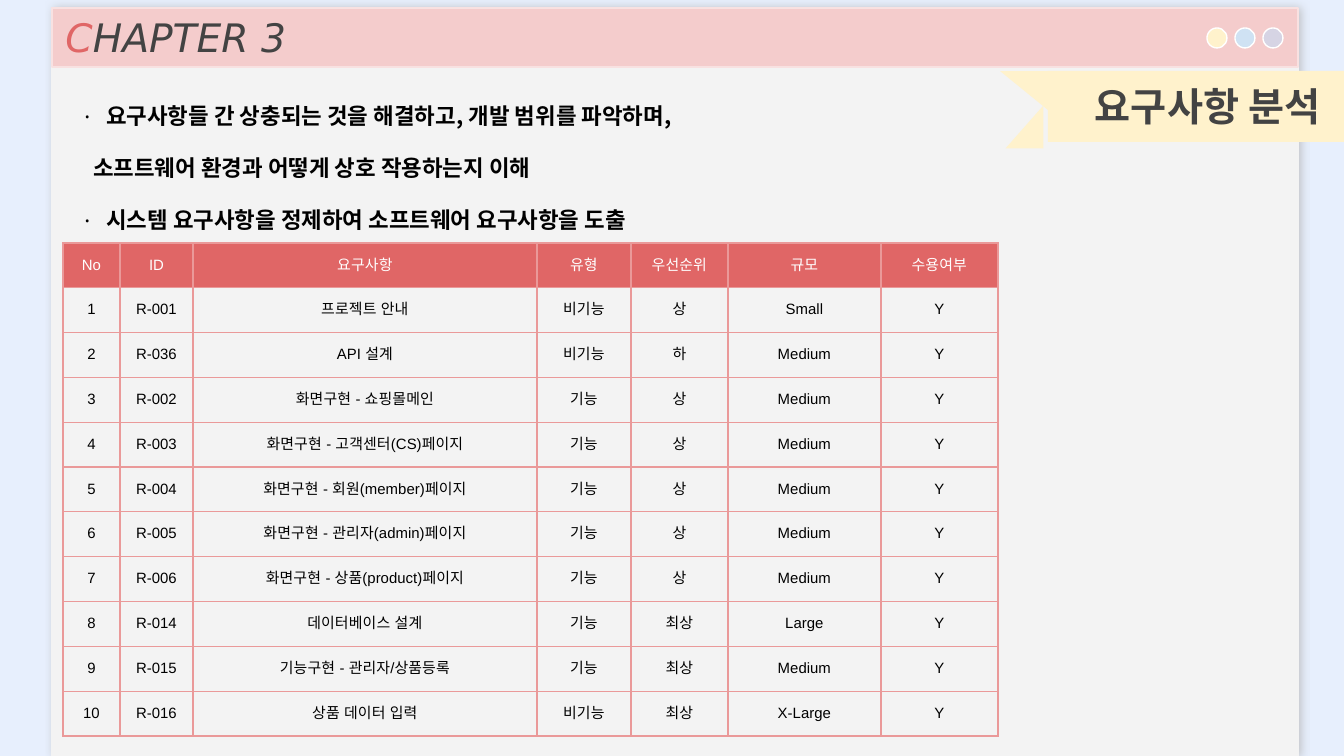
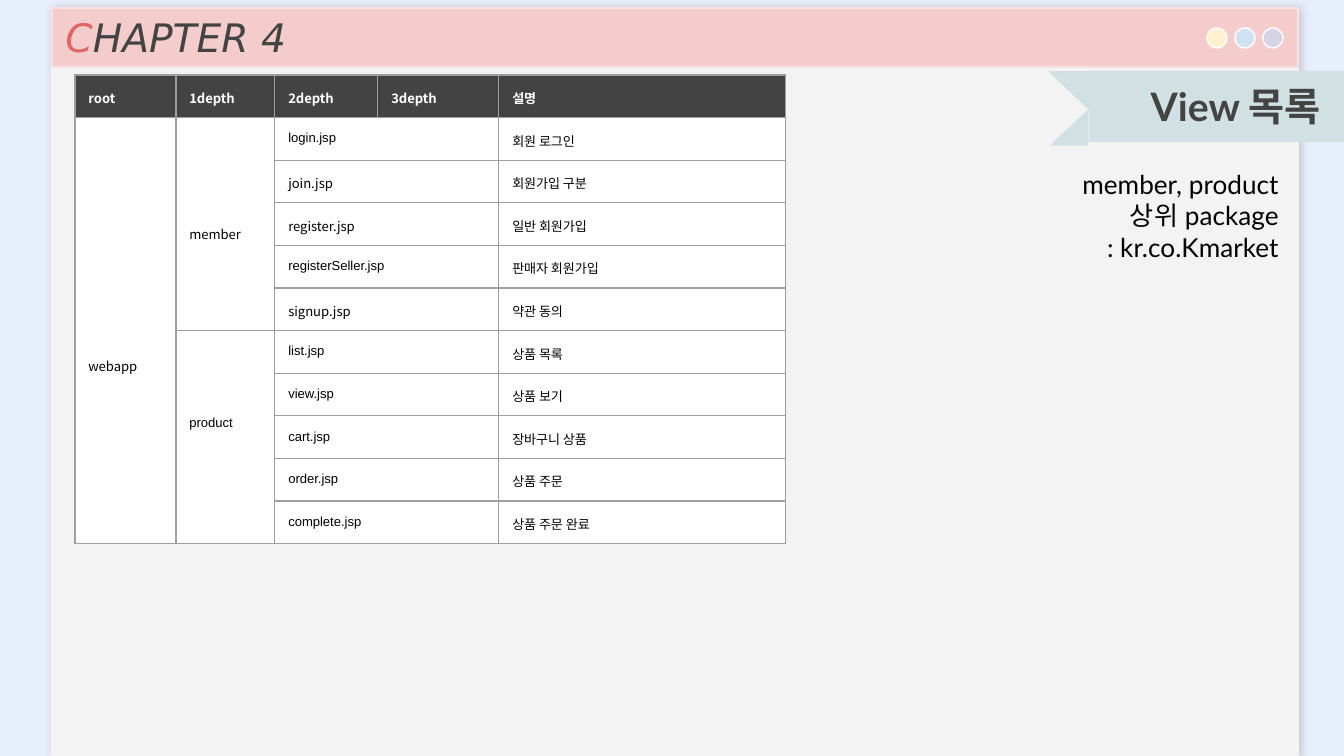
from dataclasses import dataclass

from lxml.etree import SubElement
from pptx import Presentation
from pptx.dml.color import RGBColor
from pptx.enum.shapes import MSO_SHAPE as SHAPE
from pptx.enum.text import MSO_ANCHOR as ANCHOR, MSO_AUTO_SIZE as FIT, PP_ALIGN as ALIGN
from pptx.oxml.ns import qn
from pptx.util import Emu, Pt

SLIDE_W, SLIDE_H = 1344, 756
SCALE = 9144000 / SLIDE_W
NO_STYLE = "{2D5ABB26-0587-4C30-8999-92F81FD0307C}"


@dataclass(frozen=True)
class Theme:
    sky: str = "E7EFFD"
    panel: str = "F3F3F3"
    shade: str = "B7B7B7"
    band: str = "F4CCCC"
    band_edge: str = "F8E1E1"
    red: str = "E06666"
    rose: str = "EA9999"
    yellow: str = "FFF2CC"
    blue: str = "CFE2F3"
    lilac: str = "D6D4E4"
    teal: str = "D0E0E3"
    dark: str = "434343"
    grey: str = "9E9E9E"
    white: str = "FFFFFF"
    black: str = "000000"
    title_font: str = "DejaVu Sans"
    label_font: str = "Lato"
    latin_font: str = "Arial"
    korean_font: str = "Noto Sans CJK KR"
    title_pt: int = 21
    note_pt: int = 14
    bullet_pt: int = 12
    requirement_pt: int = 8
    view_pt: int = 7


T = Theme()

REQUIREMENT_COLS = [57, 73, 344, 94, 97, 153, 117]
REQUIREMENT_HEAD = ["No", "ID", "요구사항", "유형", "우선순위", "규모", "수용여부"]
REQUIREMENTS = [
    ("R-001", "프로젝트 안내", "비기능", "상", "Small"),
    ("R-036", "API 설계", "비기능", "하", "Medium"),
    ("R-002", "화면구현 - 쇼핑몰메인", "기능", "상", "Medium"),
    ("R-003", "화면구현 - 고객센터(CS)페이지", "기능", "상", "Medium"),
    ("R-004", "화면구현 - 회원(member)페이지", "기능", "상", "Medium"),
    ("R-005", "화면구현 - 관리자(admin)페이지", "기능", "상", "Medium"),
    ("R-006", "화면구현 - 상품(product)페이지", "기능", "상", "Medium"),
    ("R-014", "데이터베이스 설계", "기능", "최상", "Large"),
    ("R-015", "기능구현 - 관리자/상품등록", "기능", "최상", "Medium"),
    ("R-016", "상품 데이터 입력", "비기능", "최상", "X-Large"),
]

VIEW_COLS = [101, 99, 103, 121, 287]
VIEW_HEAD = ["root", "1depth", "2depth", "3depth", "설명"]
VIEWS = [
    ("login.jsp", "회원 로그인"),
    ("join.jsp", "회원가입 구분"),
    ("register.jsp", "일반 회원가입"),
    ("registerSeller.jsp", "판매자 회원가입"),
    ("signup.jsp", "약관 동의"),
    ("list.jsp", "상품 목록"),
    ("view.jsp", "상품 보기"),
    ("cart.jsp", "장바구니 상품"),
    ("order.jsp", "상품 주문"),
    ("complete.jsp", "상품 주문 완료"),
]
KOREAN_FONT_VIEWS = {"join.jsp", "register.jsp", "signup.jsp"}
VIEW_FOLDERS = [
    (1, 0, 10, "webapp", T.korean_font, 239),
    (1, 1, 5, "member", T.korean_font, 107),
    (6, 1, 10, "product", T.latin_font, 85),
]

BULLETS = [
    (True, "요구사항들 간 상충되는 것을 해결하고, 개발 범위를 파악하며,"),
    (False, "소프트웨어 환경과 어떻게 상호 작용하는지 이해"),
    (True, "시스템 요구사항을 정제하여 소프트웨어 요구사항을 도출"),
]


def px(n):
    return Emu(round(n * SCALE))


def rgb(color):
    return RGBColor.from_string(color)


def write(p, text, size, font, color=T.black, bold=False, italic=False, align=ALIGN.LEFT):
    p.alignment = align
    r = p.add_run()
    r.text = text
    r.font.size = Pt(size)
    r.font.name = font
    r.font.bold = bold
    r.font.italic = italic
    r.font.color.rgb = rgb(color)
    for tag in ("a:ea", "a:cs"):
        SubElement(r._r.get_or_add_rPr(), qn(tag), typeface=font)


def set_frame(tf, fit=FIT.SHAPE_TO_FIT_TEXT):
    tf.word_wrap = True
    tf.auto_size = fit
    tf.vertical_anchor = ANCHOR.TOP
    tf.margin_left = tf.margin_right = tf.margin_top = tf.margin_bottom = Pt(7.2)


def add_text(s, box):
    tf = s.shapes.add_textbox(*map(px, box)).text_frame
    set_frame(tf)
    return tf


def add_block(s, kind, box, fill, line=None, rotation=0):
    sp = s.shapes.add_shape(kind, *map(px, box))
    sp.shadow.inherit = False
    sp.fill.solid()
    sp.fill.fore_color.rgb = rgb(fill)
    sp.rotation = rotation
    if line:
        sp.line.color.rgb = rgb(line)
        sp.line.width = Pt(0.75)
    else:
        sp.line.fill.background()
    return sp


def add_panel(s, box):
    sp = add_block(s, SHAPE.RECTANGLE, box, T.panel, T.panel)
    effects = sp.element.spPr.find(qn("a:effectLst"))
    shadow = SubElement(effects, qn("a:outerShdw"), blurRad=str(Pt(4.5)), dist=str(Pt(1.5)),
                        dir="0", algn="bl", rotWithShape="0")
    color = SubElement(shadow, qn("a:srgbClr"), val=T.shade)
    SubElement(color, qn("a:alpha"), val="80000")


def add_header(s, box, chapter):
    x, y, w, h = box
    add_block(s, SHAPE.RECTANGLE, box, T.band, T.band_edge)
    for i, fill in enumerate((T.yellow, T.blue, T.lilac)):
        add_block(s, SHAPE.OVAL, (x + w - 91 + 28 * i, y + 20, 20, 20), fill, T.white)
    title = s.shapes.title
    title.element.getparent().append(title.element)
    title.left, title.top, title.width, title.height = map(px, (x, y - 8, 630, 75))
    tf = title.text_frame
    set_frame(tf, FIT.NONE)
    for text, color in (("C", T.red), (f"HAPTER {chapter}", T.dark)):
        write(tf.paragraphs[0], text, T.title_pt, T.title_font, color, italic=True)


def add_ribbon(s, box, label, fill, fold_w, tail):
    x, y, w, h = box
    dx, dy, tail_w, tail_h = tail
    add_block(s, SHAPE.RIGHT_TRIANGLE, (x - fold_w, y, fold_w, 39), fill, rotation=180)
    add_block(s, SHAPE.RIGHT_TRIANGLE, (x + dx, y + dy, tail_w, tail_h), fill, rotation=270)
    add_block(s, SHAPE.RECTANGLE, box, fill)
    tf = add_text(s, (x + w - 349, y - 2, 335, 75))
    write(tf.paragraphs[0], label, T.title_pt, T.label_font, T.dark, bold=True, align=ALIGN.RIGHT)


def add_bullets(s, box):
    tf = add_text(s, box)
    for i, (marked, text) in enumerate(BULLETS):
        p = tf.paragraphs[0] if i == 0 else tf.add_paragraph()
        p.line_spacing = 1.39
        if i:
            p.space_before = Pt(8)
        pPr = p._p.get_or_add_pPr()
        pPr.set("marL", str(px(41 if marked else 28)))
        pPr.set("indent", str(px(-25 if marked else 0)))
        if marked:
            SubElement(pPr, qn("a:buFont"), typeface=T.korean_font)
            SubElement(pPr, qn("a:buChar"), char="·")
        else:
            SubElement(pPr, qn("a:buNone"))
        write(p, text, T.bullet_pt, T.korean_font, bold=True)


def add_note(s, box, lines):
    tf = add_text(s, box)
    for i, text in enumerate(lines):
        p = tf.paragraphs[0] if i == 0 else tf.add_paragraph()
        write(p, text, T.note_pt, T.label_font, align=ALIGN.RIGHT)


def add_grid(s, origin, cols, row_count, row_h, border):
    frame = s.shapes.add_table(row_count, len(cols), *map(px, (*origin, sum(cols), row_h * row_count)))
    frame.element.find(".//" + qn("a:tableStyleId")).text = NO_STYLE
    table = frame.table
    table.first_row = table.horz_banding = False
    for col, width in zip(table.columns, cols):
        col.width = px(width)
    for row in table.rows:
        row.height = px(row_h)
    for cell in table.iter_cells():
        tcPr = cell._tc.get_or_add_tcPr()
        for side in ("a:lnL", "a:lnR", "a:lnT", "a:lnB"):
            ln = SubElement(tcPr, qn(side), w=str(Pt(0.75)))
            SubElement(SubElement(ln, qn("a:solidFill")), qn("a:srgbClr"), val=border)
        cell.margin_left = cell.margin_right = cell.margin_top = cell.margin_bottom = Pt(7.2)
    return table


def fill_cell(cell, text, size, font, fill=None, **fmt):
    if fill:
        cell.fill.solid()
        cell.fill.fore_color.rgb = rgb(fill)
    else:
        cell.fill.background()
    write(cell.text_frame.paragraphs[0], text, size, font, **fmt)


def add_requirement_table(s, origin):
    rows = [REQUIREMENT_HEAD]
    rows += [(str(no), *row, "Y") for no, row in enumerate(REQUIREMENTS, 1)]
    table = add_grid(s, origin, REQUIREMENT_COLS, len(rows), 44, T.rose)
    for r, row in enumerate(rows):
        for c, text in enumerate(row):
            fill_cell(table.cell(r, c), text, T.requirement_pt, T.latin_font,
                      fill=None if r else T.red, color=T.black if r else T.white,
                      align=ALIGN.CENTER)


def add_view_table(s, origin):
    table = add_grid(s, origin, VIEW_COLS, len(VIEWS) + 1, 42, T.grey)
    for c, text in enumerate(VIEW_HEAD):
        fill_cell(table.cell(0, c), text, T.view_pt, T.korean_font, T.dark, color=T.white, bold=True)
    for first, c, last, text, font, top in VIEW_FOLDERS:
        cell = table.cell(first, c)
        cell.merge(table.cell(last, c))
        cell.margin_top = px(top)
        fill_cell(cell, text, T.view_pt, font, T.white)
    for r, (view, description) in enumerate(VIEWS, 1):
        cell = table.cell(r, 2)
        cell.merge(table.cell(r, 3))
        font = T.korean_font if view in KOREAN_FONT_VIEWS else T.latin_font
        fill_cell(cell, view, T.view_pt, font, T.white)
        fill_cell(table.cell(r, 4), description, T.view_pt, T.korean_font, T.white)


def add_chapter(prs, chapter):
    s = prs.slides.add_slide(prs.slide_layouts[5])
    s.background.fill.solid()
    s.background.fill.fore_color.rgb = rgb(T.sky)
    add_panel(s, (52, 9, 1246, 747))
    add_header(s, (52, 8, 1246, 59), chapter)
    return s


def requirements_slide(prs):
    s = add_chapter(prs, 3)
    add_ribbon(s, (1048, 71, 300, 71), "요구사항 분석", T.yellow, 48, (-45, 37, 43, 38))
    add_requirement_table(s, (63, 243))
    add_bullets(s, (52, 78, 727, 163))


def views_slide(prs):
    s = add_chapter(prs, 4)
    add_note(s, (1038, 155, 254, 122), ["member, product", "상위 package", ": kr.co.Kmarket"])
    add_ribbon(s, (1089, 71, 259, 71), "View 목록", T.teal, 41, (-38, 37, 36, 39))
    add_view_table(s, (75, 75))


def main():
    prs = Presentation()
    prs.slide_width, prs.slide_height = px(SLIDE_W), px(SLIDE_H)
    requirements_slide(prs)
    views_slide(prs)
    prs.save("out.pptx")


if __name__ == "__main__":
    main()
